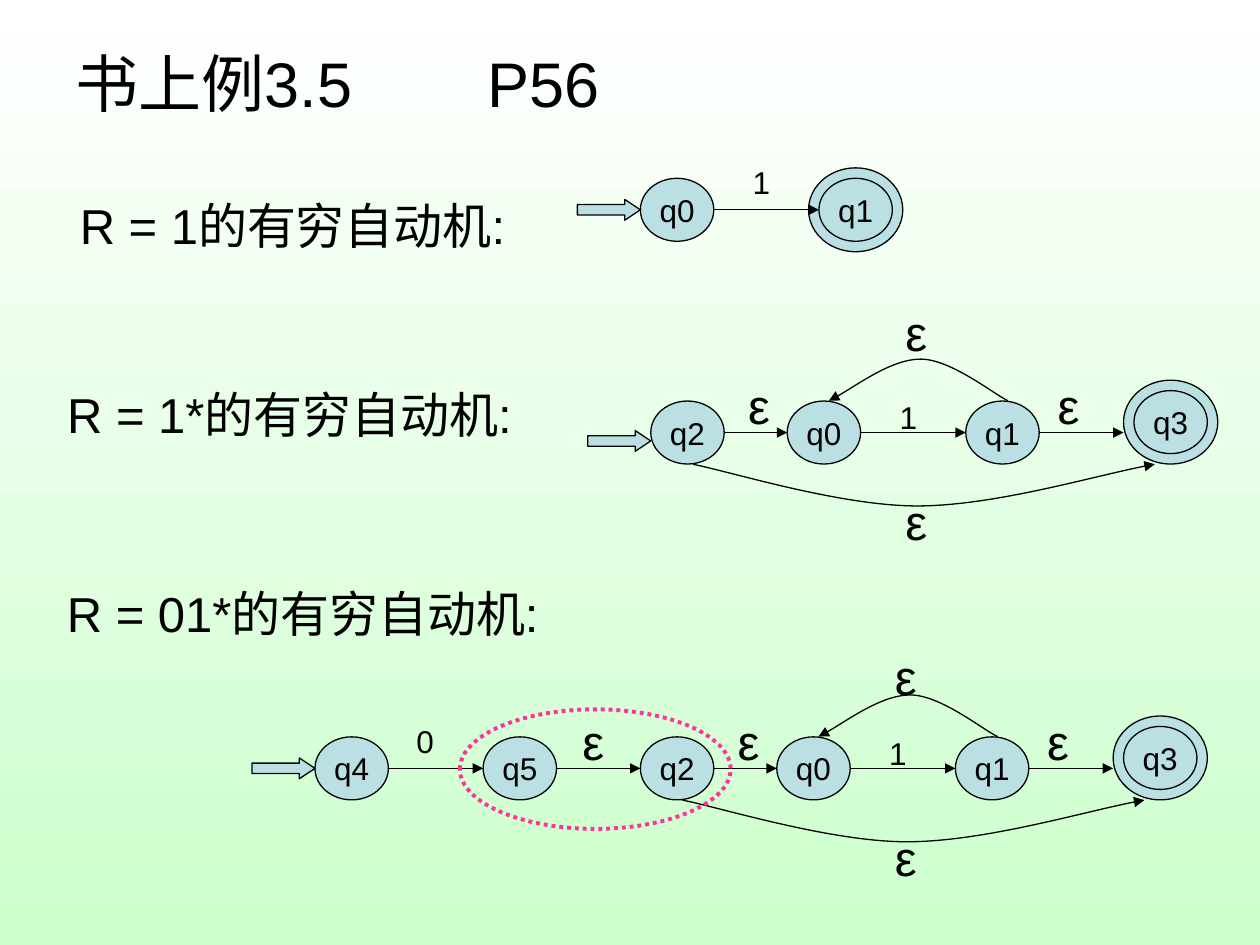
from pptx import Presentation
from pptx.dml.color import RGBColor
from pptx.enum.dml import MSO_LINE
from pptx.enum.shapes import MSO_CONNECTOR as LINK, MSO_SHAPE as SHAPE
from pptx.enum.text import MSO_ANCHOR as ANCHOR, MSO_AUTO_SIZE as SIZE, PP_ALIGN as ALIGN
from pptx.oxml.ns import qn
from pptx.util import Cm, Pt
from lxml.etree import SubElement as Sub

BLACK = RGBColor(0x00, 0x00, 0x00)
WHITE = RGBColor(0xFF, 0xFF, 0xFF)
GREEN = RGBColor(0xCC, 0xFF, 0xCC)
TEAL = RGBColor(0xBB, 0xE0, 0xE3)
PINK = RGBColor(0xFF, 0x33, 0x99)

# Centimetres: state size, ring margin, and state offsets from q2
WIDE, HIGH, RIM = 1.48, 1.27, 0.21
STEP = 3.6
Q0, Q1, Q3 = 2.75, 6.35, 9.74

LOOP = [(7.2, -0.64), (6.92, -0.77), (6.05, -1.48), (5.44, -1.48),
        (4.86, -1.48), (3.97, -0.82), (3.59, -0.64)]
SKIP = [(0.85, 0.64), (1.61, 0.79), (3.82, 1.48), (5.37, 1.48),
        (6.92, 1.48), (9.15, 0.81), (10.16, 0.64)]

HEADS = [("R = 1的有穷自动机: ", 1.27, 3.81, 9.53, 2.64),
         ("R = 1*的有穷自动机: ", 1.07, 7.62, 9.53, 2.64),
         ("R = 01*的有穷自动机: ", 0.84, 11.63, 10.8, 1.45)]


def put(item, form):
    for key, value in form.items():
        setattr(item, key, value)


def write(frame, text, size, align=ALIGN.CENTER, tab=None, **form):
    put(frame, form)
    frame.text = text
    par = frame.paragraphs[0]
    par.alignment = align
    if tab:
        tabs = Sub(par._p.get_or_add_pPr(), qn("a:tabLst"))
        Sub(tabs, qn("a:tab"), pos=str(Cm(tab)), algn="l")
    put(par.runs[0].font, {"name": "Arial", "size": Pt(size)})
    par.runs[0].font.color.rgb = BLACK


def ink(item, color=BLACK, width=0.75):
    item.line.color.rgb = color
    item.line.width = Pt(width)


def tip(item):
    """Put an arrowhead on the far end."""
    Sub(item.line._get_or_add_ln(), qn("a:tailEnd"), type="triangle")


def block(slide, kind, x, y, w, h, fill=TEAL):
    item = slide.shapes.add_shape(kind, Cm(x), Cm(y), Cm(w), Cm(h))
    item.shadow.inherit = False
    if fill is None:
        item.fill.background()
    else:
        item.fill.solid()
        item.fill.fore_color.rgb = fill
    ink(item)
    return item


def label(slide, text, x, y, w, h, size, wrap=True):
    box = slide.shapes.add_textbox(Cm(x), Cm(y), Cm(w), Cm(h))
    write(box.text_frame, text, size, word_wrap=wrap,
          auto_size=SIZE.SHAPE_TO_FIT_TEXT)


def digit(slide, text, x, y):
    label(slide, text, x, y, WIDE, 1.02, 18)


def empty(slide, x, y):
    """Label a move that reads no symbol."""
    label(slide, "ε", x, y, 0.94, 1.45, 28, wrap=False)


def state(slide, name, x, mid, final=False):
    """Draw a state by its left edge and middle height."""
    top = mid - HIGH / 2
    if final:
        block(slide, SHAPE.OVAL, x - RIM, top - RIM, WIDE + 2 * RIM, HIGH + 2 * RIM)
    oval = block(slide, SHAPE.OVAL, x, top, WIDE, HIGH)
    write(oval.text_frame, name, 18, word_wrap=False, vertical_anchor=ANCHOR.MIDDLE)


def start(slide, x, mid):
    """Draw the entry arrow that ends at x."""
    arrow = block(slide, SHAPE.RIGHT_ARROW, x - 1.27, mid - 0.21, 1.27, 0.42)
    arrow.adjustments[1] = 0.75


def wire(slide, x, end, mid):
    line = slide.shapes.add_connector(LINK.STRAIGHT, Cm(x), Cm(mid), Cm(end), Cm(mid))
    ink(line)
    tip(line)
    Sub(line._element.spPr, qn("a:effectLst"))


def bend(slide, dots, x, mid):
    """Draw a curve from a start and triples of Bezier points."""
    first, *rest = [(Cm(x + dx), Cm(mid + dy)) for dx, dy in dots]
    form = slide.shapes.build_freeform(*first)
    form.add_line_segments(rest, close=False)
    curve = form.convert_to_shape()
    legs = list(curve._element.iter(qn("a:lnTo")))
    for i in range(0, len(legs), 3):
        bez = Sub(legs[i].getparent(), qn("a:cubicBezTo"))
        for leg in legs[i:i + 3]:
            bez.append(leg[0])
            leg.getparent().remove(leg)
    curve.shadow.inherit = False
    curve.fill.background()
    ink(curve)
    tip(curve)


def pair(slide, x, mid, rise, final=False):
    """Draw q0 and q1 joined by a move on 1."""
    state(slide, "q0", x, mid)
    state(slide, "q1", x + STEP, mid, final)
    wire(slide, x + WIDE, x + STEP, mid)
    digit(slide, "1", x + 1.7, mid - rise)


def star(slide, x, mid, rise):
    """Draw the machine for 1*, with q2 at x."""
    pair(slide, x + Q0, mid, 0.82)
    state(slide, "q2", x, mid)
    state(slide, "q3", x + Q3, mid - RIM, final=True)
    wire(slide, x + WIDE, x + Q0, mid)
    wire(slide, x + Q1 + WIDE, x + Q3 - RIM, mid)
    bend(slide, LOOP, x, mid)
    bend(slide, SKIP, x, mid)
    for dx, dy in [(1.71, -1.28), (7.95, -1.28), (4.88, -rise), (4.88, 1.06)]:
        empty(slide, x + dx, mid + dy)


def prefix(slide, x, mid):
    """Draw q4 and q5, which read 0 before q2."""
    q5, q2 = x + 3.39, x + 6.56
    state(slide, "q4", x, mid)
    state(slide, "q5", q5, mid)
    wire(slide, x + WIDE, q5, mid)
    wire(slide, q5 + WIDE, q2, mid)
    digit(slide, "0", x + WIDE, mid - 1.06)
    empty(slide, q5 + 1.75, mid - 1.28)


def main():
    deck = Presentation()
    put(deck, {"slide_width": Cm(25.4), "slide_height": Cm(19.05)})
    slide = deck.slides.add_slide(deck.slide_layouts[5])

    back = slide.background.fill
    back.gradient()
    back.gradient_angle = 270
    for stop, color, spot in zip(back.gradient_stops, (WHITE, GREEN), (0, 1)):
        stop.color.rgb = color
        stop.position = spot

    title = slide.shapes.title
    put(title, {"left": Cm(1.27), "top": Cm(0.76), "width": Cm(22.86), "height": Cm(1.78)})
    write(title.text_frame, "书上例3.5\tP56", 36, ALIGN.LEFT, tab=8.3,
          auto_size=SIZE.NONE, vertical_anchor=ANCHOR.MIDDLE)
    for text, *place in HEADS:
        label(slide, text, *place, 28)

    pair(slide, 12.91, 4.23, 1.06, final=True)
    start(slide, 12.91, 4.23)

    star(slide, 13.12, 8.72, 2.75)
    start(slide, 13.12, 8.89)

    star(slide, 12.91, 15.49, 2.59)
    prefix(slide, 6.35, 15.49)
    start(slide, 6.35, 15.49)
    ring = block(slide, SHAPE.OVAL, 9.27, 14.3, 5.46, 2.41, fill=None)
    ink(ring, PINK, 2.25)
    ring.line.dash_style = MSO_LINE.ROUND_DOT

    deck.save("out.pptx")


if __name__ == "__main__":
    main()
